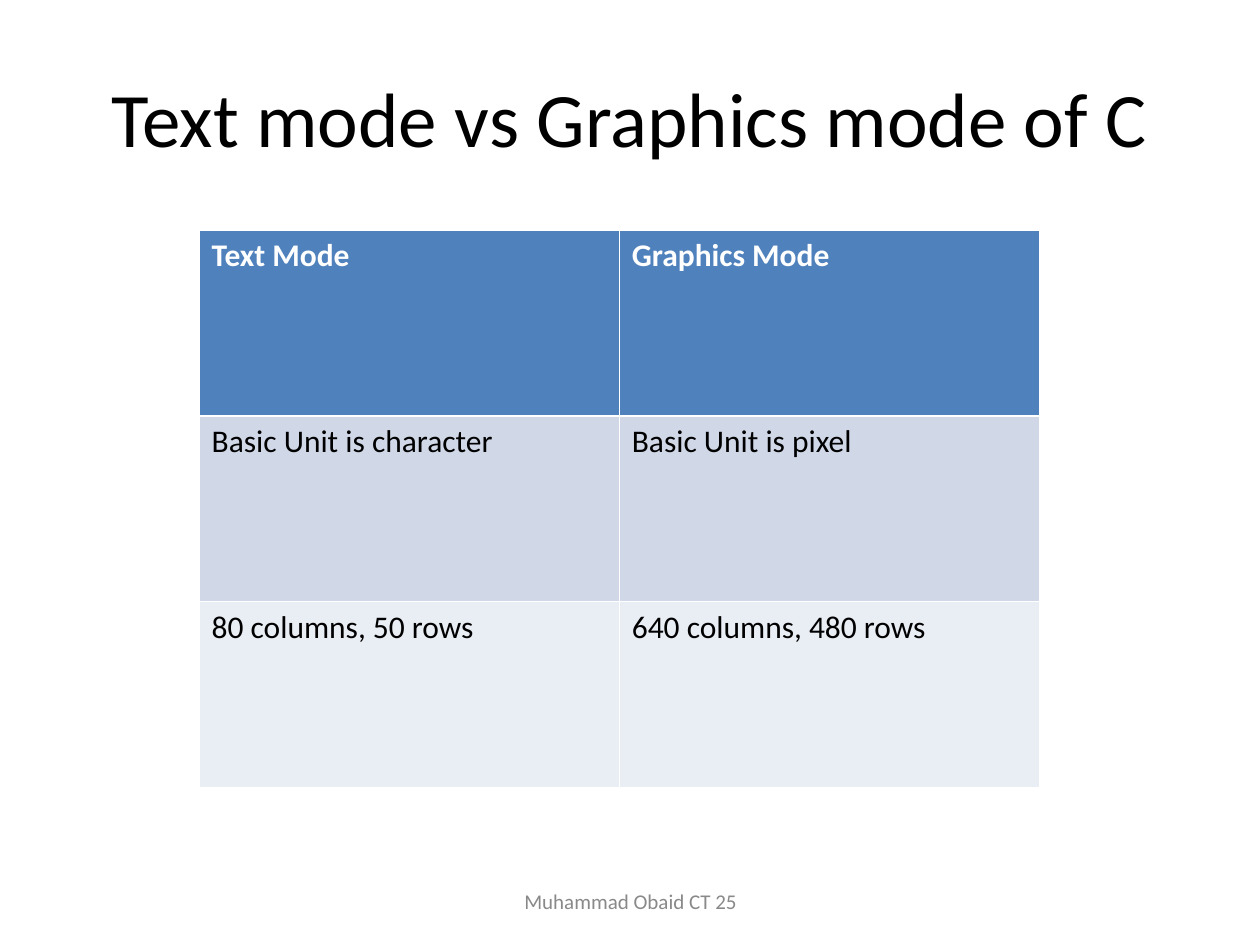
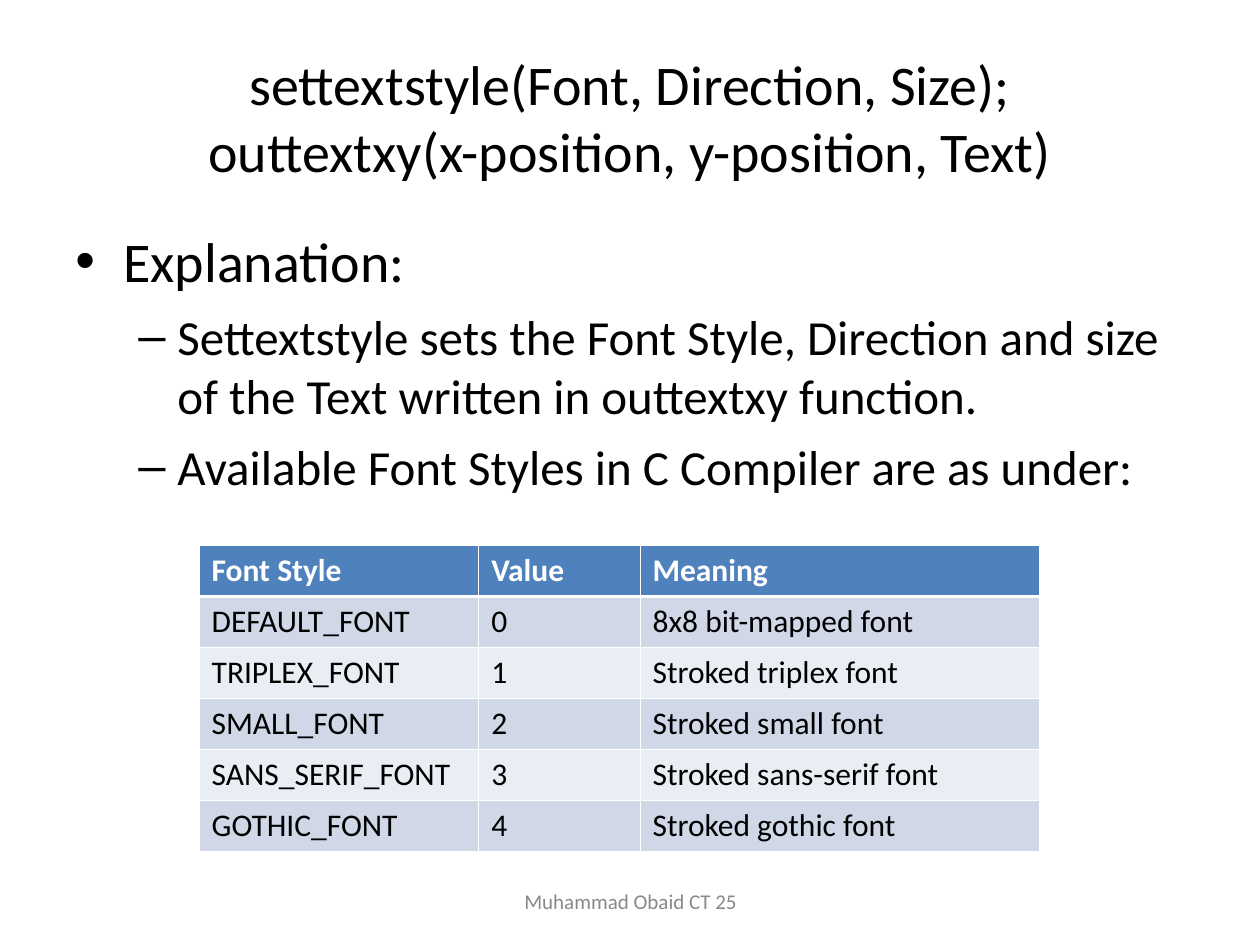
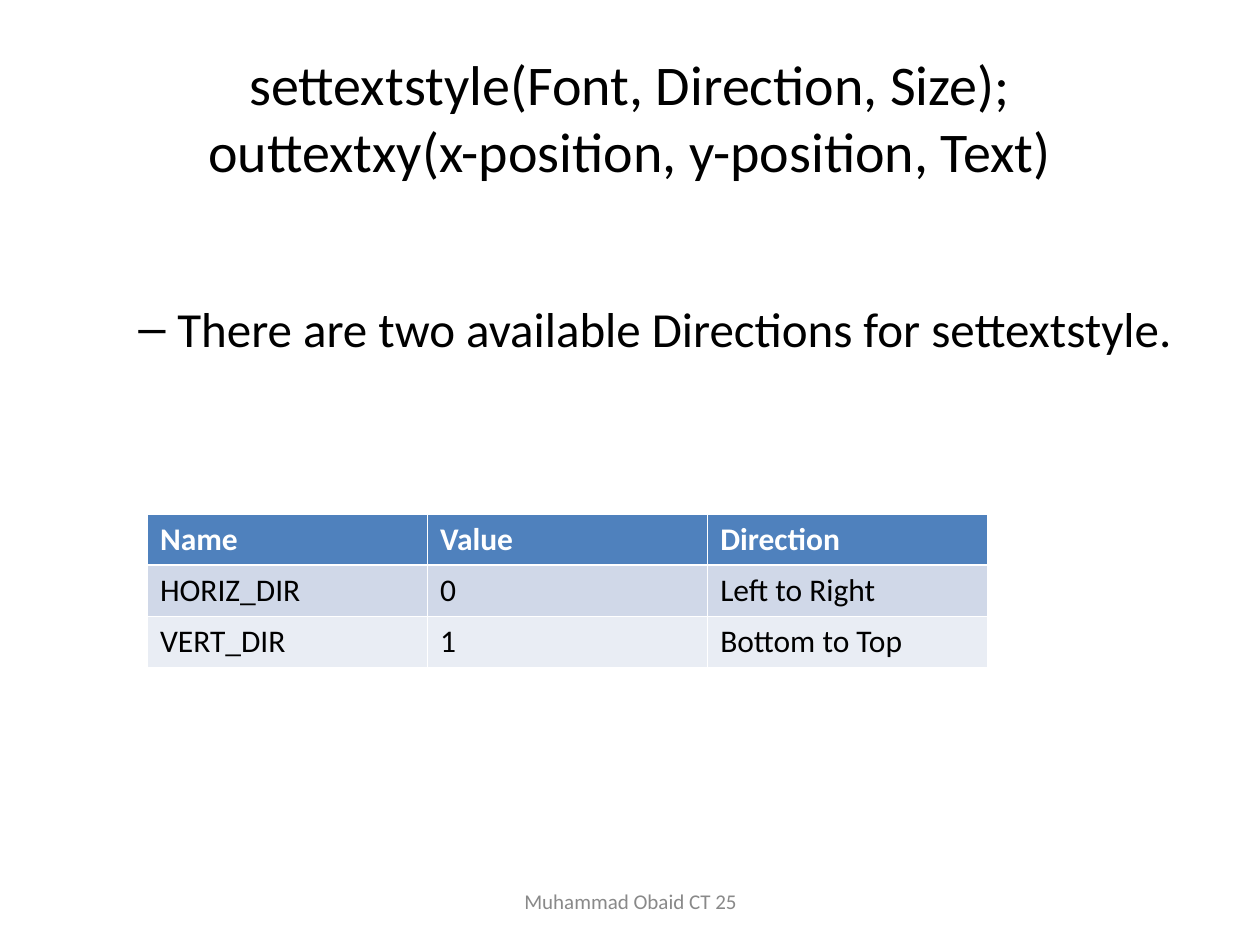
from lxml.etree import SubElement
from pptx import Presentation
from pptx.dml.color import RGBColor
from pptx.enum.text import MSO_ANCHOR as Anchor, PP_ALIGN as Align
from pptx.oxml.ns import qn
from pptx.util import Inches, Pt

FONT = "Calibri"
BLACK, WHITE, GREY = "000000", "FFFFFF", "898989"
HEADER_FILL, BAND_FILLS = "4F81BD", ("D0D8E8", "E9EDF4")
FOOTER = "Muhammad Obaid CT 25"
THIN, THICK = 0.45, 1.47
TABLE_WIDTH = 6.67

# Bullet levels: character, text size, left margin, hanging indent, space before
LEVELS = [("•", 32, 0.38, 0.38, 8), ("–", 28, 0.81, 0.31, 7)]

FUNCTIONS_TITLE = ["settextstyle(Font, Direction, Size);",
                   "outtextxy(x-position, y-position, Text)"]
SLIDES = [
    {"title": ["Text mode vs Graphics mode of C"], "title_size": 44,
     "body_top": 1.75, "body": [],
     "table_at": (1.58, 1.83), "table_height": 4.42, "columns": [TABLE_WIDTH / 2] * 2,
     "rows": [("Text Mode", "Graphics Mode"),
              ("Basic Unit is character", "Basic Unit is pixel"),
              ("80 columns, 50 rows", "640 columns, 480 rows")]},
    {"title": FUNCTIONS_TITLE, "title_size": 32,
     "body_top": 1.75,
     "body": [(0, "Explanation:"),
              (1, "Settextstyle sets the Font Style, Direction and size of the "
                  "Text written in outtextxy function."),
              (1, "Available Font Styles in C Compiler are as under:")],
     "table_at": (1.58, 4.33), "table_height": 2.43, "columns": [2.22, 1.28, 3.17],
     "rows": [("Font Style", "Value", "Meaning"),
              ("DEFAULT_FONT", "0", "8x8 bit-mapped font"),
              ("TRIPLEX_FONT", "1", "Stroked triplex font"),
              ("SMALL_FONT", "2", "Stroked small font"),
              ("SANS_SERIF_FONT", "3", "Stroked sans-serif font"),
              ("GOTHIC_FONT", "4", "Stroked gothic font")]},
    {"title": FUNCTIONS_TITLE, "title_size": 32,
     "body_top": 2.32,
     "body": [(1, "There are two available Directions for settextstyle.")],
     "table_at": (1.17, 4.08), "table_height": 1.22, "columns": [TABLE_WIDTH / 3] * 3,
     "rows": [("Name", "Value", "Direction"),
              ("HORIZ_DIR", "0", "Left to Right"),
              ("VERT_DIR", "1", "Bottom to Top")]},
]


def add_run(paragraph, text, size, color, bold=False):
    run = paragraph.add_run()
    run.text = text
    run.font.name, run.font.size, run.font.bold = FONT, Pt(size), bold
    run.font.color.rgb = RGBColor.from_string(color)


def add_text_frame(slide, left, top, width, height, anchor):
    box = slide.shapes.add_textbox(Inches(left), Inches(top), Inches(width), Inches(height))
    box.text_frame.word_wrap = True
    box.text_frame.vertical_anchor = anchor
    return box.text_frame


presentation = Presentation()
presentation.slide_width, presentation.slide_height = Inches(10), Inches(7.5)

for content in SLIDES:
    slide = presentation.slides.add_slide(presentation.slide_layouts[6])

    # Title
    paragraph = add_text_frame(slide, 0.5, 0.3, 9, 1.25, Anchor.MIDDLE).paragraphs[0]
    paragraph.alignment = Align.CENTER
    for index, line in enumerate(content["title"]):
        if index:
            paragraph.add_line_break()
        add_run(paragraph, line, content["title_size"], BLACK)

    # Bulleted text
    if content["body"]:
        top = content["body_top"]
        frame = add_text_frame(slide, 0.5, top, 9, 6.7 - top, Anchor.TOP)
        for index, (level, text) in enumerate(content["body"]):
            bullet, size, margin, hanging, space = LEVELS[level]
            paragraph = frame.add_paragraph() if index else frame.paragraphs[0]
            paragraph.level = level
            if index:
                paragraph.space_before = Pt(space)
            properties = paragraph._p.get_or_add_pPr()
            properties.set("marL", str(Inches(margin)))
            properties.set("indent", str(-Inches(hanging)))
            SubElement(properties, qn("a:buFont"), typeface="Arial")
            SubElement(properties, qn("a:buChar"), char=bullet)
            add_run(paragraph, text, size, BLACK)

    # Footer
    paragraph = add_text_frame(slide, 3.42, 6.95, 3.17, 0.4, Anchor.MIDDLE).paragraphs[0]
    paragraph.alignment = Align.CENTER
    add_run(paragraph, FOOTER, 12, GREY)

    # Table with a header row and alternating bands
    rows, columns = content["rows"], content["columns"]
    left, top = content["table_at"]
    table = slide.shapes.add_table(len(rows), len(columns), Inches(left), Inches(top),
                                   Inches(TABLE_WIDTH),
                                   Inches(content["table_height"])).table
    for column, width in zip(table.columns, columns):
        column.width = Inches(width)
    for row_index, row in enumerate(rows):
        is_header = row_index == 0
        for column_index, text in enumerate(row):
            cell = table.cell(row_index, column_index)
            add_run(cell.text_frame.paragraphs[0], text, 18,
                    WHITE if is_header else BLACK, is_header)
            properties = cell._tc.get_or_add_tcPr()
            borders = {"a:lnL": THIN, "a:lnR": THIN,
                       "a:lnT": THICK if row_index == 1 else THIN,
                       "a:lnB": THICK if is_header else THIN}
            for tag, weight in borders.items():
                border = SubElement(properties, qn(tag), w=str(Pt(weight)))
                SubElement(SubElement(border, qn("a:solidFill")), qn("a:srgbClr"), val=WHITE)
            cell.fill.solid()
            cell.fill.fore_color.rgb = RGBColor.from_string(
                HEADER_FILL if is_header else BAND_FILLS[(row_index - 1) % 2])

presentation.save("out.pptx")
